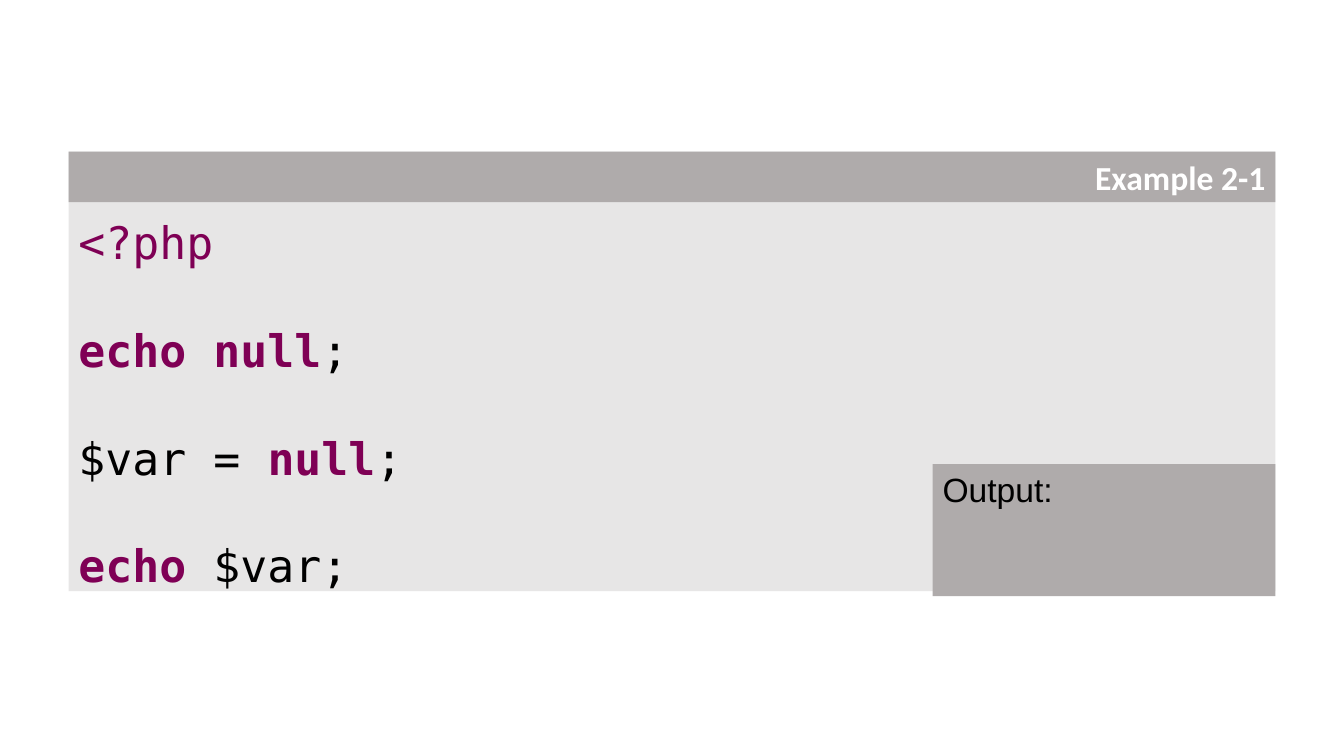
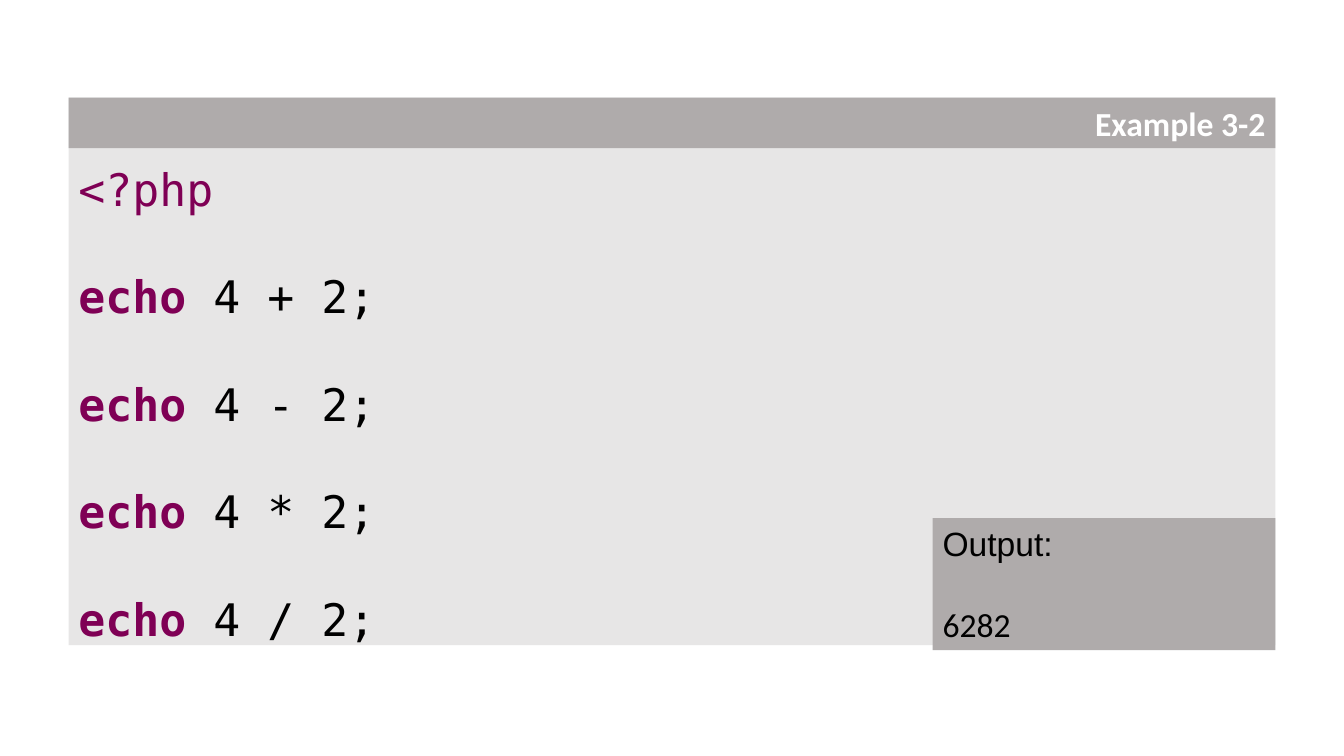
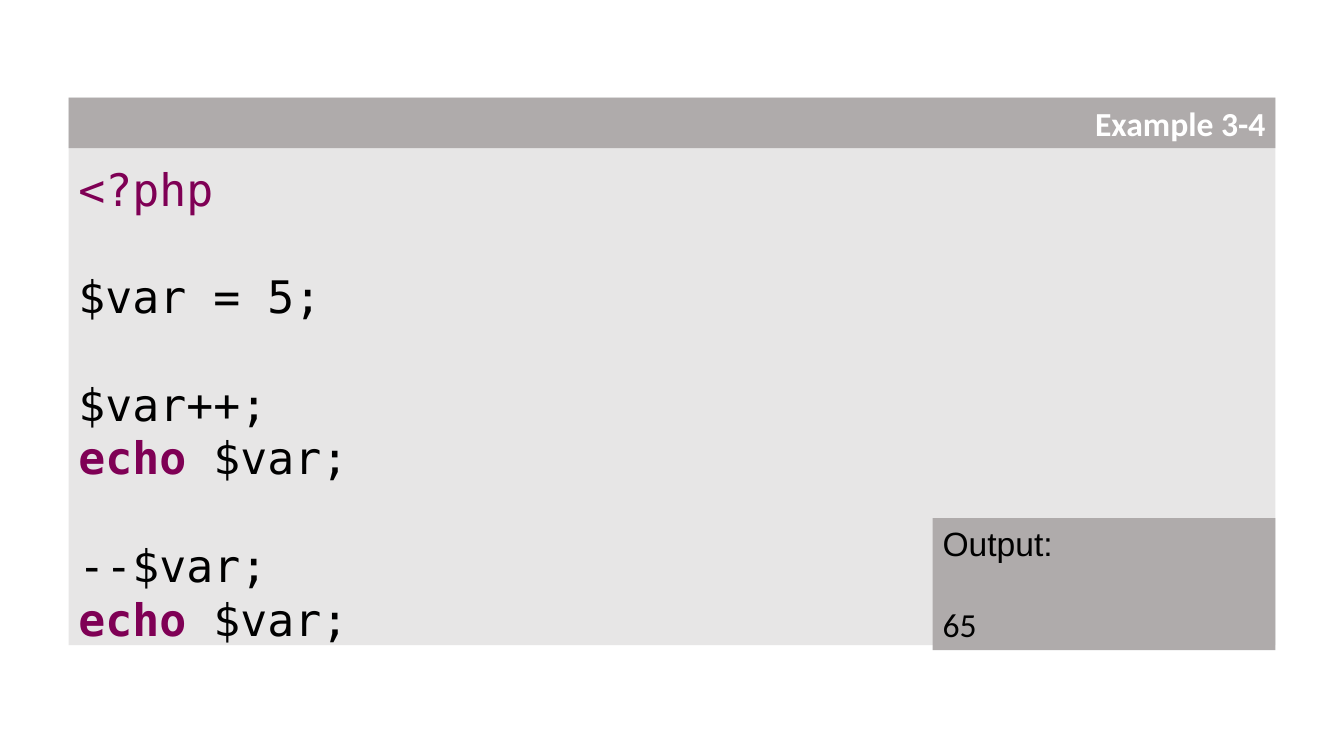
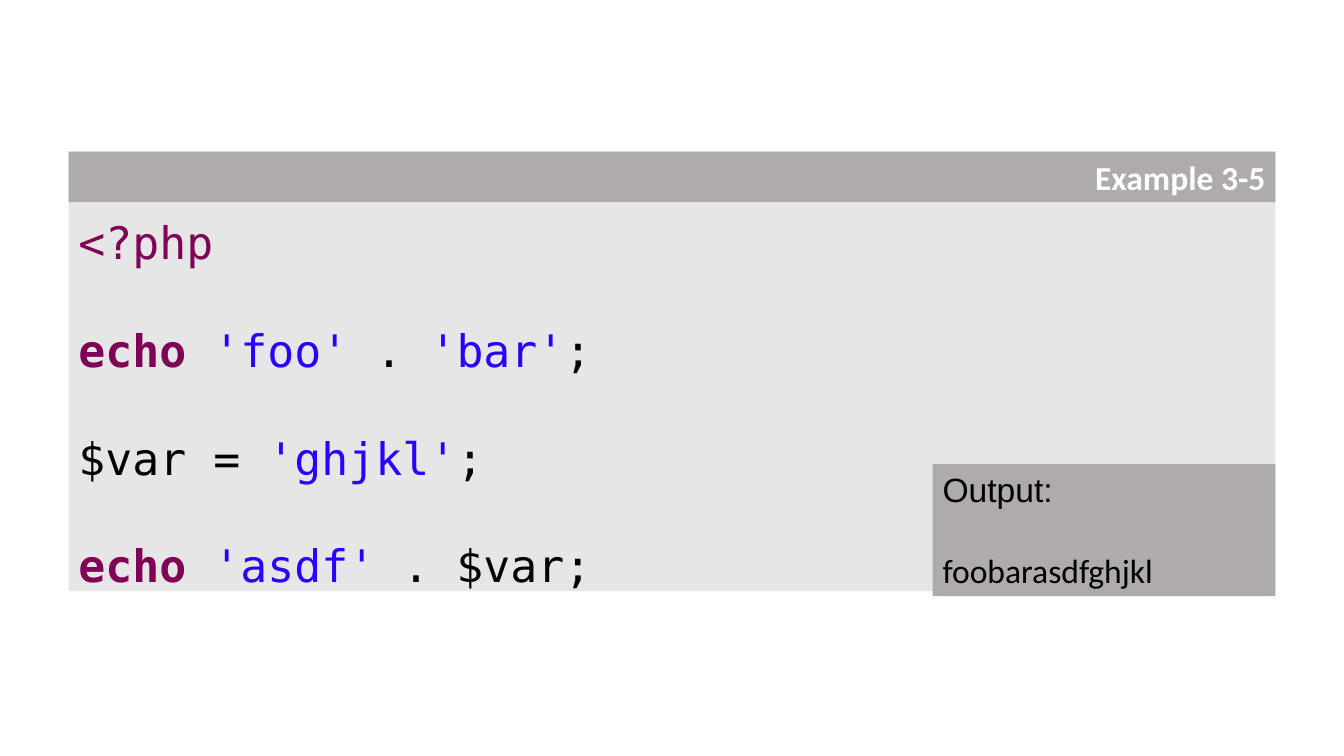
"""Build four slides of PHP code examples with their output."""
from dataclasses import dataclass

from pptx import Presentation
from pptx.dml.color import RGBColor
from pptx.enum.shapes import MSO_SHAPE as Shape
from pptx.enum.text import MSO_ANCHOR as Anchor, PP_ALIGN as Align
from pptx.util import Inches, Pt

COLORS = {
    "panel": "E7E6E6",
    "band": "AFABAB",
    "title": "FFFFFF",
    "plain": "000000",
    "keyword": "7F0055",
    "string": "2A00FF",
}
CODE_FONT, TITLE_FONT, LABEL_FONT = "DejaVu Sans Mono", "Calibri", "Arial"
SLIDE_WIDTH, SLIDE_HEIGHT = 13.33, 7.5
MARGIN = 0.68
CENTER = 3.71
BAND_HEIGHT = 0.5
OUTPUT_WIDTH, OUTPUT_HEIGHT = 3.4, 1.31
OVERHANG = 0.05
CODE_LINE = 38.4
OUTPUT_LINE = 29
CODE_ROW = 0.535

OPEN_TAG = [("<?php", "tag")]
ECHO = ("echo", "keyword")
NULL = ("null", "keyword")
ECHO_VAR = [ECHO, (" $var;", "plain")]

EXAMPLES = [
    ("Example 2-1", None, [
        OPEN_TAG, None,
        [ECHO, (" ", "plain"), NULL, (";", "plain")], None,
        [("$var = ", "plain"), NULL, (";", "plain")], None,
        ECHO_VAR,
    ]),
    ("Example 3-2", "6282", [
        OPEN_TAG, None,
        [ECHO, (" 4 + 2;", "plain")], None,
        [ECHO, (" 4 - 2;", "plain")], None,
        [ECHO, (" 4 * 2;", "plain")], None,
        [ECHO, (" 4 / 2;", "plain")],
    ]),
    ("Example 3-4", "65", [
        OPEN_TAG, None,
        [("$var = 5;", "plain")], None,
        [("$var++;", "plain")],
        ECHO_VAR, None,
        [("--$var;", "plain")],
        ECHO_VAR,
    ]),
    ("Example 3-5", "foobarasdfghjkl", [
        OPEN_TAG, None,
        [ECHO, (" ", "plain"), ("'foo'", "string"), (" . ", "plain"),
         ("'bar'", "string"), (";", "plain")], None,
        [("$var = ", "plain"), ("'ghjkl'", "string"), (";", "plain")], None,
        [ECHO, (" ", "plain"), ("'asdf'", "string"), (" . $var;", "plain")],
    ]),
]


@dataclass
class Box:
    """Hold a rectangle in inches."""
    left: float
    top: float
    width: float
    height: float


def add_rectangle(slide, box, color):
    """Draw a flat rectangle and return its empty text frame."""
    shape = slide.shapes.add_shape(
        Shape.RECTANGLE, Inches(box.left), Inches(box.top),
        Inches(box.width), Inches(box.height))
    shape.shadow.inherit = False
    shape.fill.solid()
    shape.fill.fore_color.rgb = RGBColor.from_string(COLORS[color])
    shape.line.fill.background()
    frame = shape.text_frame
    frame.word_wrap = True
    frame.vertical_anchor = Anchor.TOP
    frame.paragraphs[0].alignment = Align.LEFT
    return frame


def add_text(paragraph, text, font=TITLE_FONT, size=24, color="plain", bold=False):
    """Append a formatted run to a paragraph."""
    run = paragraph.add_run()
    run.text = text
    run.font.name = font
    run.font.size = Pt(size)
    run.font.bold = bold
    run.font.color.rgb = RGBColor.from_string(COLORS[color])


def add_paragraph(frame, space_before=0):
    """Append a left-aligned paragraph."""
    paragraph = frame.add_paragraph()
    paragraph.alignment = Align.LEFT
    paragraph.space_before = Pt(space_before)
    return paragraph


def add_code(slide, box, lines):
    """Fill the panel with code, turning each None into a one-line gap."""
    frame = add_rectangle(slide, box, "panel")
    frame.margin_top = Inches(BAND_HEIGHT + 0.13)
    frame.margin_bottom = 0
    gap = 0
    for number, line in enumerate(lines):
        if line is None:
            gap = CODE_LINE
            continue
        paragraph = add_paragraph(frame, gap) if number else frame.paragraphs[0]
        paragraph.line_spacing = Pt(CODE_LINE)
        gap = 0
        for text, kind in line:
            add_text(paragraph, text, font=CODE_FONT, size=32,
                     color="keyword" if kind == "tag" else kind,
                     bold=kind == "keyword")


def add_output(slide, box, output):
    """Place the output box in the lower right corner of the box."""
    corner = Box(box.left + box.width - OUTPUT_WIDTH,
                 box.top + box.height - OUTPUT_HEIGHT,
                 OUTPUT_WIDTH, OUTPUT_HEIGHT)
    frame = add_rectangle(slide, corner, "band")
    add_text(frame.paragraphs[0], "Output:", font=LABEL_FONT)
    if output:
        add_text(add_paragraph(frame, OUTPUT_LINE), output)


def add_title(slide, box, title):
    """Place the title band along the top of the box."""
    frame = add_rectangle(
        slide, Box(box.left, box.top, box.width, BAND_HEIGHT), "band")
    frame.paragraphs[0].alignment = Align.RIGHT
    add_text(frame.paragraphs[0], title, color="title", bold=True)


def add_example(presentation, title, output, lines):
    """Add a slide with a code panel sized by its number of lines."""
    slide = presentation.slides.add_slide(presentation.slide_layouts[6])
    height = (len(lines) + 1) * CODE_ROW + 0.13
    box = Box(MARGIN, CENTER - height / 2, SLIDE_WIDTH - 2 * MARGIN, height)
    panel = Box(box.left, box.top, box.width, height - OVERHANG)
    add_code(slide, panel, lines)
    add_output(slide, box, output)
    add_title(slide, box, title)


def main():
    """Build and save the presentation."""
    presentation = Presentation()
    presentation.slide_width = Inches(SLIDE_WIDTH)
    presentation.slide_height = Inches(SLIDE_HEIGHT)
    for title, output, lines in EXAMPLES:
        add_example(presentation, title, output, lines)
    presentation.save("out.pptx")


if __name__ == "__main__":
    main()
